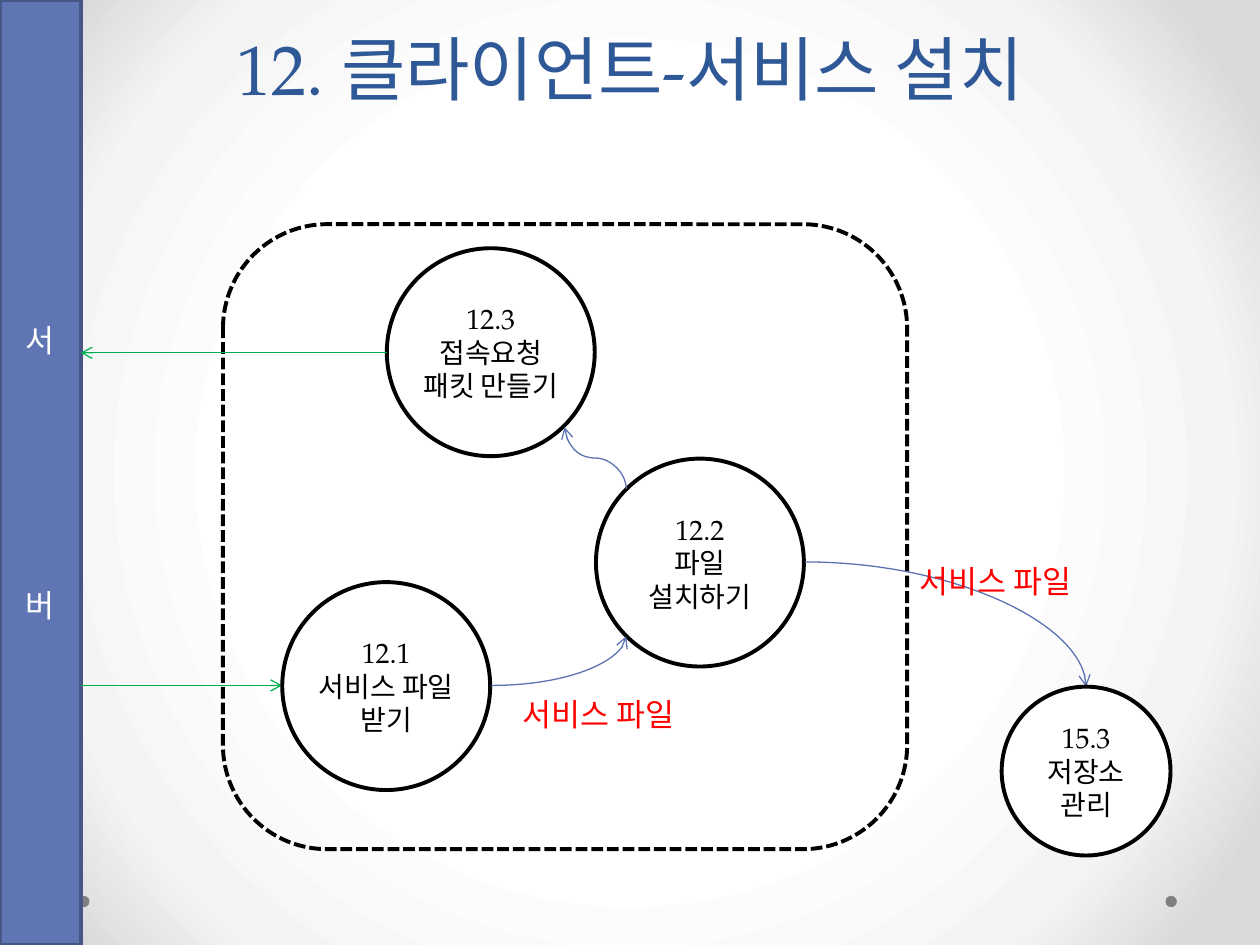
from dataclasses import dataclass

from lxml import etree
from pptx import Presentation
from pptx.dml.color import RGBColor
from pptx.enum.dml import MSO_LINE
from pptx.enum.shapes import MSO_CONNECTOR, MSO_SHAPE
from pptx.enum.text import MSO_ANCHOR, PP_ALIGN
from pptx.oxml import parse_xml
from pptx.oxml.ns import nsdecls, qn
from pptx.util import Inches, Pt

CENTER, LEFT = PP_ALIGN.CENTER, PP_ALIGN.LEFT
TOP, MIDDLE, BOTTOM = MSO_ANCHOR.TOP, MSO_ANCHOR.MIDDLE, MSO_ANCHOR.BOTTOM
STRAIGHT, CURVE = MSO_CONNECTOR.STRAIGHT, MSO_CONNECTOR.CURVE
ELLIPSE, RECTANGLE, ROUNDED = MSO_SHAPE.OVAL, MSO_SHAPE.RECTANGLE, MSO_SHAPE.ROUNDED_RECTANGLE
SHORT_DASH = MSO_LINE.SQUARE_DOT


@dataclass(frozen=True)
class Theme:
    font: str = "TeX Gyre Pagella"
    title: str = "2F5897"
    band: str = "6076B4"
    band_edge: str = "475785"
    ink: str = "000000"
    paper: str = "FFFFFF"
    label: str = "FF0000"
    dot: str = "808080"
    server_flow: str = "00B050"
    data_flow: str = "5C72B2"
    backdrop: tuple = ((50, "FFFFFF"), (76, "F4F4F4"), (92, "DADADA"))
    title_size: int = 40
    label_size: int = 18
    process_size: int = 16
    outline: float = 2.25
    flow: float = 0.75


THEME = Theme()


def rgb(color):
    return RGBColor.from_string(color)


def paint_background(slide):
    stops = "".join(f'<a:gs pos="{position * 1000}"><a:srgbClr val="{color}"/></a:gs>'
                    for position, color in THEME.backdrop)
    background = parse_xml(
        f'<p:bg {nsdecls("p", "a")}><p:bgPr><a:gradFill><a:gsLst>{stops}</a:gsLst>'
        '<a:path path="circle"><a:fillToRect l="50000" t="50000" r="50000" b="50000"/></a:path>'
        '</a:gradFill><a:effectLst/></p:bgPr></p:bg>')
    slide.element.cSld.insert(0, background)


def write(text_frame, lines, size, color, align=CENTER, anchor=MIDDLE):
    text_frame.word_wrap = True
    text_frame.vertical_anchor = anchor
    text_frame.text = "\n".join(lines)
    for paragraph in text_frame.paragraphs:
        paragraph.alignment = align
        for run in paragraph.runs:
            run.font.name = THEME.font
            run.font.size = Pt(size)
            run.font.color.rgb = rgb(color)


def add_box(slide, kind, box, fill=None, edge=None):
    shape = slide.shapes.add_shape(kind, *map(Inches, box))
    shape.shadow.inherit = False
    if fill:
        shape.fill.solid()
        shape.fill.fore_color.rgb = rgb(fill)
    else:
        shape.fill.background()
    if edge:
        shape.line.color.rgb = rgb(edge)
        shape.line.width = Pt(THEME.outline)
    else:
        shape.line.fill.background()
    return shape


def add_title(slide, box, text):
    title = slide.shapes.add_textbox(*map(Inches, box))
    write(title.text_frame, [text], THEME.title_size, THEME.title, anchor=BOTTOM)
    title.text_frame.paragraphs[0].line_spacing = Pt(58)


def add_label(slide, box, text):
    label = slide.shapes.add_textbox(*map(Inches, box))
    write(label.text_frame, [text], THEME.label_size, THEME.label, LEFT, TOP)


def add_server_band(slide, box):
    band = add_box(slide, RECTANGLE, box, THEME.band, THEME.band_edge)
    write(band.text_frame, ["서", "버"], THEME.label_size, THEME.paper)
    band.text_frame.paragraphs[1].space_before = Pt(130)


def add_system_boundary(slide, box):
    boundary = add_box(slide, ROUNDED, box, edge=THEME.ink)
    boundary.line.dash_style = SHORT_DASH


def add_process(slide, box, number, name):
    process = add_box(slide, ELLIPSE, box, THEME.paper, THEME.ink)
    frame = process.text_frame
    frame.margin_left = frame.margin_right = Inches(0.04)
    frame.margin_top = frame.margin_bottom = Inches(0.04)
    write(frame, [number, name], THEME.process_size, THEME.ink)


def add_flow(slide, start, end, color, kind=STRAIGHT):
    connector = slide.shapes.add_connector(kind, *map(Inches, (*start, *end)))
    connector.line.color.rgb = rgb(color)
    connector.line.width = Pt(THEME.flow)
    properties = connector._element.spPr
    etree.SubElement(properties.find(qn("a:ln")), qn("a:tailEnd"), type="arrow")
    etree.SubElement(properties, qn("a:effectLst"))
    return connector


def add_quarter_curve(slide, start, end):
    """Leaves sideways and arrives vertically."""
    connector = add_flow(slide, start, end, THEME.data_flow, CURVE)
    connector._element.spPr.find(qn("a:prstGeom")).set("prst", "curvedConnector2")


def add_rising_curve(slide, start, end):
    """S-curve up and to the left across a square box, leaving vertically."""
    connector = add_flow(slide, (end[0], start[1]), (start[0], end[1]), THEME.data_flow, CURVE)
    connector._element.spPr.find(qn("a:xfrm")).set("rot", str(270 * 60000))


def add_data_flow_diagram(slide, box):
    """Processes and flows; box is the system boundary."""
    left, top, width, height = box
    size, store_size = 1.65, 1.34

    def at(x, y):
        return left + x, top + y

    add_flow(slide, (0.64, top + 3.66), at(0.47, 3.66), THEME.server_flow)
    add_label(slide, (*at(2.28, 3.69), 1.85, 0.4), "서비스 파일")
    add_system_boundary(slide, box)
    add_process(slide, (*at(2.96, 1.86), size, size), "12.2", "파일 설치하기")
    add_process(slide, (*at(0.47, 2.84), size, size), "12.1", "서비스 파일 받기")
    add_quarter_curve(slide, at(4.62, 2.68), at(6.85, 3.67))
    add_quarter_curve(slide, at(2.13, 3.66), at(3.2, 3.27))
    add_label(slide, (*at(width, 2.63), 1.85, 0.4), "서비스 파일")
    add_process(slide, (*at(1.3, 0.19), size, size), "12.3", "접속요청 패킷 만들기")
    add_rising_curve(slide, at(3.2, 2.1), at(2.71, 1.61))
    add_flow(slide, at(1.3, 1.02), (0.64, top + 1.02), THEME.server_flow)
    add_process(slide, (*at(6.18, 3.67), store_size, store_size), "15.3", "저장소 관리")


def main():
    presentation = Presentation()
    presentation.slide_width, presentation.slide_height = Inches(10), Inches(7.5)
    slide = presentation.slides.add_slide(presentation.slide_layouts[6])
    paint_background(slide)
    for left in (9.25, 0.62):
        add_box(slide, ELLIPSE, (left, 7.11, 0.09, 0.09), THEME.dot)
    add_title(slide, (0.5, 0, 9, 0.92), "12. 클라이언트-서비스 설치")
    add_server_band(slide, (0, 0, 0.64, 7.5))
    add_data_flow_diagram(slide, (1.77, 1.78, 5.43, 4.96))
    presentation.save("out.pptx")


if __name__ == "__main__":
    main()
